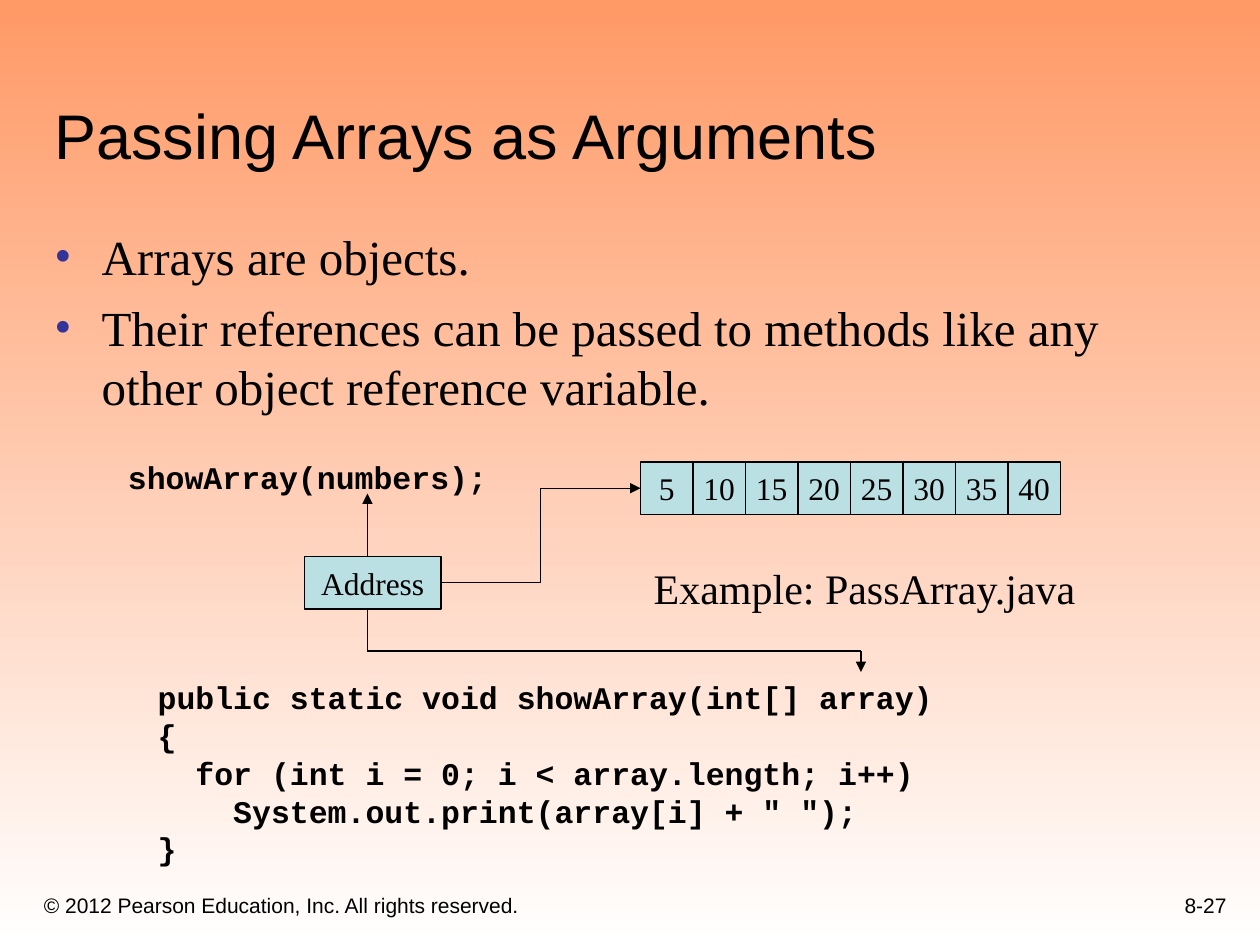
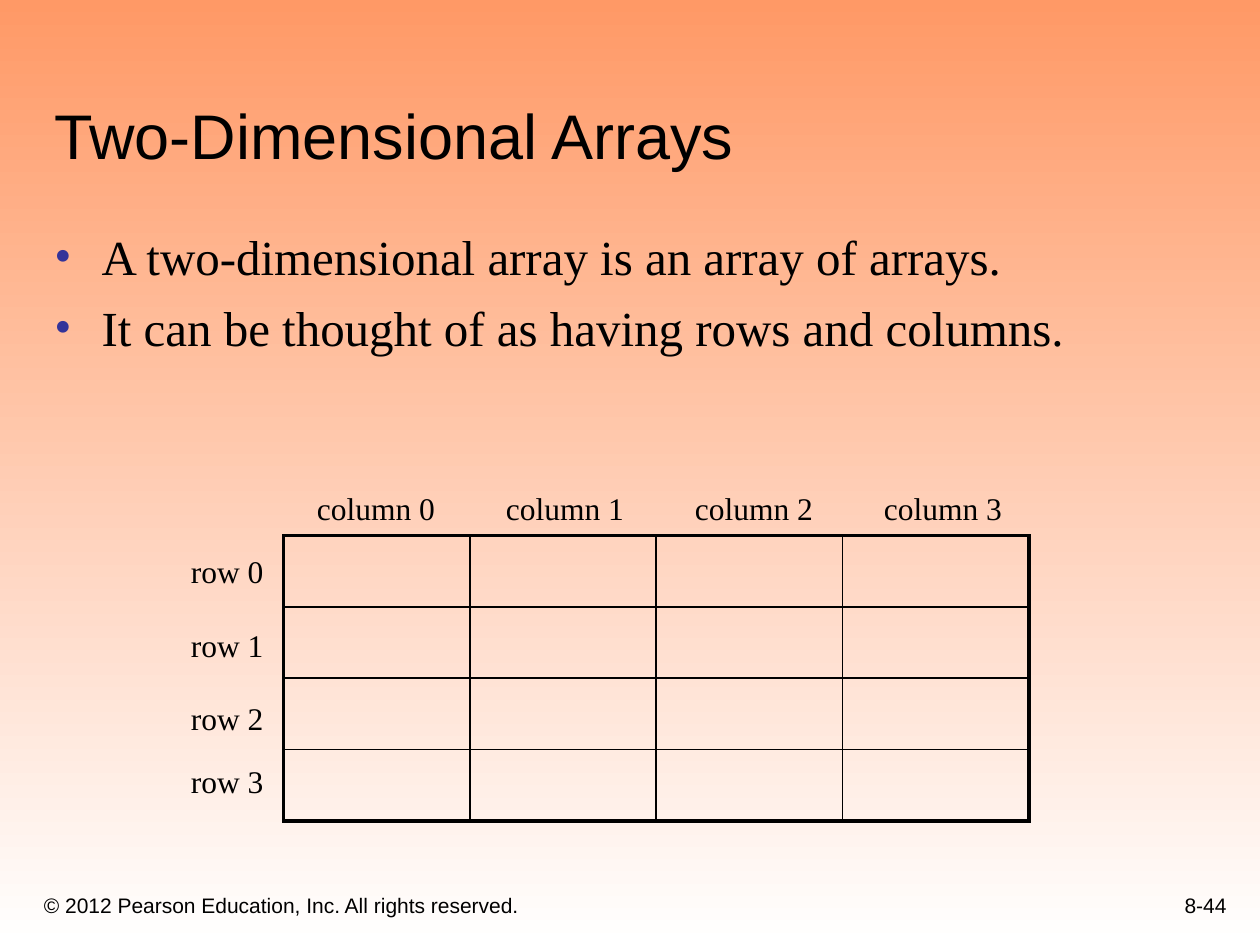
from lxml import etree
from pptx import Presentation
from pptx.dml.color import RGBColor
from pptx.enum.shapes import MSO_CONNECTOR, MSO_SHAPE
from pptx.enum.text import MSO_ANCHOR, MSO_AUTO_SIZE, PP_ALIGN
from pptx.oxml.ns import qn
from pptx.util import Pt

STRAIGHT, ELBOW = MSO_CONNECTOR.STRAIGHT, MSO_CONNECTOR.ELBOW
RECTANGLE = MSO_SHAPE.RECTANGLE
TOP, MIDDLE, BOTTOM = MSO_ANCHOR.TOP, MSO_ANCHOR.MIDDLE, MSO_ANCHOR.BOTTOM
LEFT, CENTER, RIGHT = PP_ALIGN.LEFT, PP_ALIGN.CENTER, PP_ALIGN.RIGHT
FIT_SHAPE = MSO_AUTO_SIZE.SHAPE_TO_FIT_TEXT

ORANGE, WHITE, BLACK = "FF9966", "FFFFFF", "000000"
BULLET_BLUE, CELL_BLUE = "333399", "BBE0E3"
SANS, SERIF, MONO = "Arial", "Times New Roman", "Courier New"

COPYRIGHT = "© 2012 Pearson Education, Inc. All rights reserved."
SHOW_ARRAY_CODE = [
    "public static void showArray(int[] array)",
    "{",
    "  for (int i = 0; i < array.length; i++)",
    '    System.out.print(array[i] + " ");',
    "}",
]


def color(hex_string):
    return RGBColor.from_string(hex_string)


def style_font(paragraph, font_name, size, bold=False):
    font = paragraph.font
    font.name, font.size, font.bold = font_name, Pt(size), bold
    font.color.rgb = color(BLACK)


def add_text(slide, box, lines, font_name, size, bold=False,
             align=LEFT, anchor=TOP, wrap=False):
    frame = slide.shapes.add_textbox(*map(Pt, box)).text_frame
    frame.word_wrap = wrap
    if not wrap:
        frame.auto_size = FIT_SHAPE
    frame.vertical_anchor = anchor
    for index, line in enumerate(lines):
        paragraph = frame.add_paragraph() if index else frame.paragraphs[0]
        paragraph.text = line
        paragraph.alignment = align
        style_font(paragraph, font_name, size, bold)


def add_line(slide, start, end, width=0.75, arrow=False, kind=STRAIGHT, cap="flat"):
    connector = slide.shapes.add_connector(kind, *map(Pt, (*start, *end)))
    connector.line.color.rgb = color(BLACK)
    connector.line.width = Pt(width)
    properties = connector._element.spPr
    outline = properties.find(qn("a:ln"))
    outline.set("cap", cap)
    if arrow:
        etree.SubElement(outline, qn("a:tailEnd"), type="triangle")
    etree.SubElement(properties, qn("a:effectLst"))


def add_cell(slide, box, label):
    cell = slide.shapes.add_shape(RECTANGLE, *map(Pt, box))
    cell.shadow.inherit = False
    cell.fill.solid()
    cell.fill.fore_color.rgb = color(CELL_BLUE)
    cell.line.color.rgb = color(BLACK)
    cell.line.width = Pt(0.75)
    frame = cell.text_frame
    frame.word_wrap = False
    frame.vertical_anchor = MIDDLE
    paragraph = frame.paragraphs[0]
    paragraph.text = label
    paragraph.alignment = CENTER
    style_font(paragraph, SERIF, 18)


def add_bullets(slide, box, points):
    frame = slide.shapes.add_textbox(*map(Pt, box)).text_frame
    frame.word_wrap = True
    frame.margin_right = 0
    for index, point in enumerate(points):
        paragraph = frame.add_paragraph() if index else frame.paragraphs[0]
        paragraph.text = point
        if index:
            paragraph.space_before = Pt(7)
        layout = paragraph._p.get_or_add_pPr()
        layout.set("marL", str(Pt(27)))
        layout.set("indent", str(-Pt(27)))
        bullet_color = etree.SubElement(layout, qn("a:buClr"))
        etree.SubElement(bullet_color, qn("a:srgbClr"), val=BULLET_BLUE)
        etree.SubElement(layout, qn("a:buSzPct"), val="100000")
        etree.SubElement(layout, qn("a:buFont"), typeface=SERIF)
        etree.SubElement(layout, qn("a:buChar"), char="•")
        style_font(paragraph, SERIF, 28)


def add_base_slide(deck, title, points, page):
    """Background, title, bullets and footer shared by all slides."""
    slide = deck.slides.add_slide(deck.slide_layouts[6])
    background = slide.background.fill
    background.gradient()
    background.gradient_angle = 270
    for stop, hex_string in zip(background.gradient_stops, (ORANGE, WHITE)):
        stop.color.rgb = color(hex_string)
    add_text(slide, (18, 498, 438, 30), [COPYRIGHT], SANS, 12, anchor=BOTTOM, wrap=True)
    add_text(slide, (558, 492, 150, 36), [page], SANS, 12,
             align=RIGHT, anchor=BOTTOM, wrap=True)
    add_text(slide, (24, 24, 678, 78), [title], SANS, 36, anchor=BOTTOM, wrap=True)
    add_bullets(slide, (24, 126, 653, 151), points)
    return slide


def draw_array(slide, left, top, values, side=30):
    for index, value in enumerate(values):
        add_cell(slide, (left + index * side, top, side, side), str(value))


def draw_reference_diagram(slide, left, top):
    """Address shared by the call, the array and the method parameter."""
    array_left = left + 300
    draw_array(slide, array_left, top + 6, range(5, 45, 5))
    address_left, address_top, address_width, cell_height = left + 108, top + 60, 78, 30
    address_bottom = address_top + cell_height
    add_cell(slide, (address_left, address_top, address_width, cell_height), "Address")

    # Call and method code
    add_text(slide, (left, top, 220, 29), ["showArray(numbers);"], MONO, 18, bold=True)
    add_text(slide, (left + 17, top + 126, 458, 115), SHOW_ARRAY_CODE, MONO, 18, bold=True)

    # Address to array
    add_line(slide, (address_left + address_width, address_top + cell_height / 2),
             (array_left, top + 21), arrow=True, kind=ELBOW)

    # Address to argument, then to parameter
    argument_x, parameter_x, turn_y = left + 144, left + 426, address_bottom + 24
    add_line(slide, (argument_x, address_top), (argument_x, top + 24), arrow=True)
    add_line(slide, (argument_x, address_bottom), (argument_x, turn_y))
    add_line(slide, (argument_x, turn_y), (parameter_x, turn_y))
    add_line(slide, (parameter_x, turn_y), (parameter_x, turn_y + 12), arrow=True)


def draw_grid(slide, left, top, width, height, count=4):
    """Grid of cells with a heavy outline and labels outside it."""
    right, bottom = left + width, top + height
    for index in range(count + 1):
        weight, cap = (2.25, "sq") if index in (0, count) else (1, "flat")
        x, y = left + index * width / count, top + index * height / count
        add_line(slide, (left, y), (right, y), weight, cap=cap)
        add_line(slide, (x, top), (x, bottom), weight, cap=cap)

    row_label_offsets = (6, 48, 90, 126)
    for index, offset in enumerate(row_label_offsets):
        add_text(slide, (left - 60, top + offset, 57, 29), [f"row {index}"], SERIF, 18)
        add_text(slide, (left + 12 + index * 108, top - 30, 82, 29),
                 [f"column {index}"], SERIF, 18)


def build_passing_arrays(deck):
    slide = add_base_slide(deck, "Passing Arrays as Arguments", [
        "Arrays are objects.",
        "Their references can be passed to methods like any other object reference variable.",
    ], "8-27")
    draw_reference_diagram(slide, 66, 258)
    add_text(slide, (366.5, 318, 257, 36), ["Example: PassArray.java"], SERIF, 24)


def build_two_dimensional_arrays(deck):
    slide = add_base_slide(deck, "Two-Dimensional Arrays", [
        "A two-dimensional array is an array of arrays.",
        "It can be thought of as having rows and columns.",
    ], "8-44")
    draw_grid(slide, 162, 306, 426, 163)


def main():
    deck = Presentation()
    deck.slide_width, deck.slide_height = Pt(720), Pt(540)
    build_passing_arrays(deck)
    build_two_dimensional_arrays(deck)
    deck.save("out.pptx")


if __name__ == "__main__":
    main()
